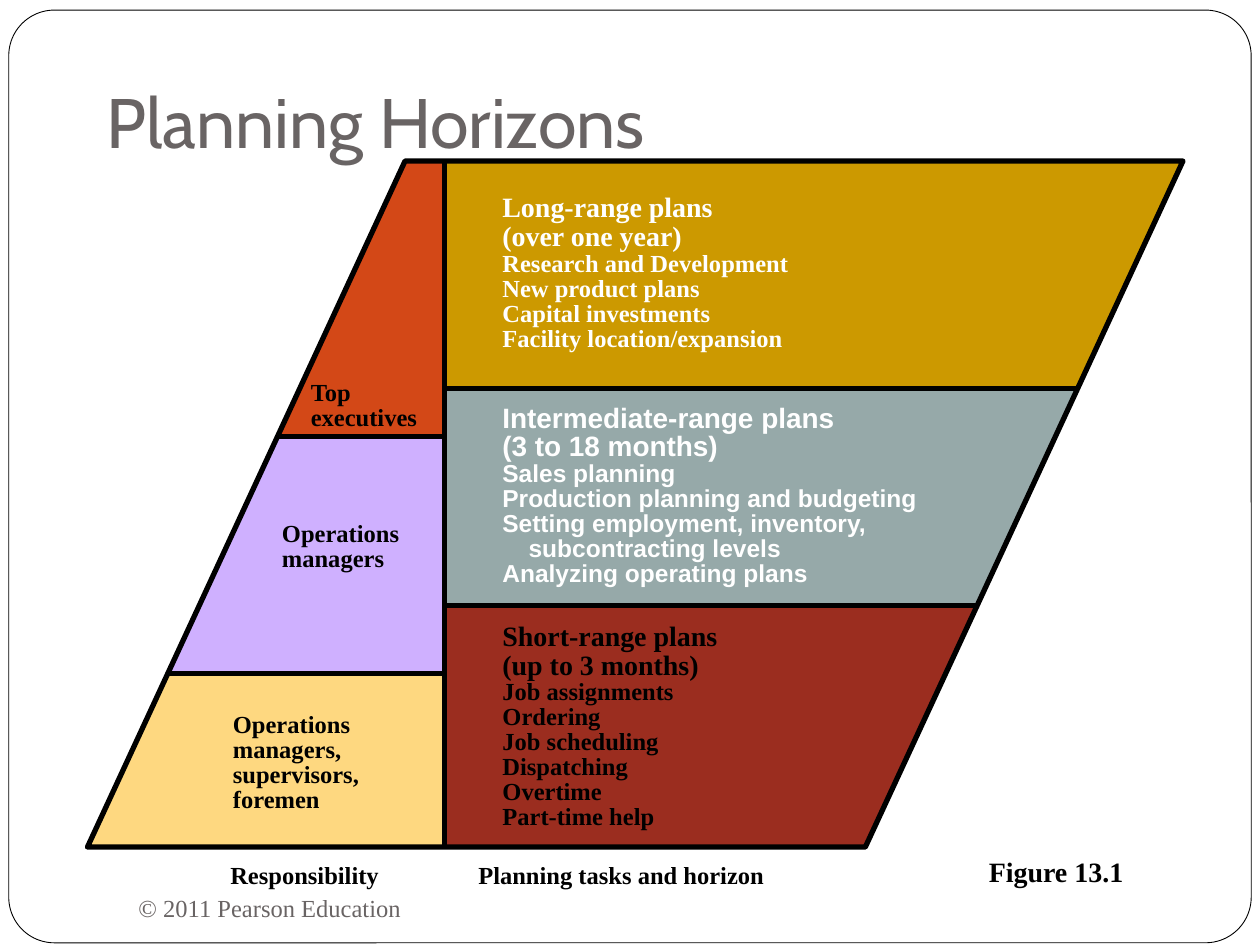
from lxml.etree import SubElement
from pptx import Presentation
from pptx.dml.color import RGBColor
from pptx.enum.shapes import MSO_CONNECTOR, MSO_SHAPE
from pptx.enum.text import MSO_ANCHOR, MSO_AUTO_SIZE
from pptx.oxml.ns import qn
from pptx.util import Pt

BLACK = RGBColor(0x00, 0x00, 0x00)
WHITE = RGBColor(0xFF, 0xFF, 0xFF)
GREY = RGBColor(0x69, 0x64, 0x64)
GOLD = RGBColor(0xCC, 0x99, 0x00)
SAGE = RGBColor(0x96, 0xA9, 0xA9)
BRICK = RGBColor(0x9B, 0x2D, 0x1F)
ORANGE = RGBColor(0xD3, 0x48, 0x17)
LILAC = RGBColor(0xCF, 0xB0, 0xFF)
SAND = RGBColor(0xFE, 0xD8, 0x80)

SERIF = "Times New Roman"
SLANT = 0.463
HANGING = 15

HORIZONS = [
    (130, GOLD, WHITE, SERIF, (280, 108, 198, 97), 0,
     ["Long-range plans\v(over one year)"],
     ["Research and Development", "New product plans", "Capital investments",
      "Facility location/expansion"]),
    (254, SAGE, WHITE, "Arial", (280, 228, 252, 112), HANGING,
     ["Intermediate-range plans", "(3 to 18 months)"],
     ["Sales planning", "Production planning and budgeting",
      "Setting employment, inventory, subcontracting levels",
      "Analyzing operating plans"]),
    (392, BRICK, BLACK, SERIF, (280, 353, 162, 125), 0,
     ["Short-range plans\v(up to 3 months)"],
     ["Job assignments", "Ordering", "Job scheduling", "Dispatching",
      "Overtime", "Part-time help"]),
]
ROLES = [
    (157.5, ORANGE, (170.5, 214.5, 93, 36), "Top executives"),
    (293, LILAC, (154, 295, 93, 36), "Operations managers"),
    (392, SAND, (126, 404, 101, 64), "Operations managers, supervisors, foremen"),
]


def add_text(slide, box, lines, sizes, color, font=SERIF, bold=True, wrap=True,
             anchor=MSO_ANCHOR.TOP, spacing=None, hanging=0):
    """Place paragraphs of text in a box, one size for each line."""
    shape = slide.shapes.add_textbox(*map(Pt, box))
    text_frame = shape.text_frame
    text_frame.word_wrap = wrap
    text_frame.auto_size = MSO_AUTO_SIZE.NONE
    text_frame.vertical_anchor = anchor
    text_frame.text = "\n".join(lines)
    for paragraph, size in zip(text_frame.paragraphs, sizes):
        if spacing:
            paragraph.line_spacing = spacing
        if hanging:
            properties = paragraph._p.get_or_add_pPr()
            properties.set("marL", str(Pt(hanging)))
            properties.set("indent", str(-Pt(hanging)))
        for run in paragraph.runs:
            run.font.name = font
            run.font.size = Pt(size)
            run.font.bold = bold
            run.font.color.rgb = color
    return text_frame


def add_region(slide, points, color):
    """Draw a filled polygon without an outline."""
    corners = [(Pt(x), Pt(y)) for x, y in points]
    builder = slide.shapes.build_freeform(*corners[0], scale=1.0)
    builder.add_line_segments(corners[1:], close=True)
    shape = builder.convert_to_shape()
    shape.shadow.inherit = False
    shape.fill.solid()
    shape.fill.fore_color.rgb = color
    shape.line.fill.background()


def add_rule(slide, start, end):
    """Draw a heavy black straight line."""
    connector = slide.shapes.add_connector(
        MSO_CONNECTOR.STRAIGHT, *map(Pt, start + end))
    connector.line.color.rgb = BLACK
    connector.line.width = Pt(3)
    SubElement(connector._element.spPr, qn("a:effectLst"))


def add_outline(slide, kind, box, adjustment, width):
    """Draw a black outlined shape without a fill."""
    shape = slide.shapes.add_shape(kind, *map(Pt, box))
    shape.adjustments[0] = adjustment
    shape.shadow.inherit = False
    shape.fill.background()
    shape.line.color.rgb = BLACK
    shape.line.width = Pt(width)
    return shape


def add_frame(slide, box):
    """Draw the rounded white panel around the slide."""
    frame = add_outline(slide, MSO_SHAPE.ROUNDED_RECTANGLE, box, 0.049, 0.5)
    frame.fill.solid()
    frame.fill.fore_color.rgb = WHITE


def add_diagram(slide, box, divider):
    """Draw the slanted planning diagram, split at the divider."""
    left, top, width, height = box
    bottom = top + height
    offset = SLANT * height

    def left_edge(y):
        """Return the x of the slanted left side at height y."""
        return left + offset * (bottom - y) / height

    def right_edge(y):
        """Return the x of the slanted right side at height y."""
        return left_edge(y) + width - offset

    rules = []
    for rows, edge in ((HORIZONS, right_edge), (ROLES, left_edge)):
        start = top
        for depth, color, *_ in rows:
            end = top + depth
            add_region(slide, [(divider, start), (edge(start), start),
                               (edge(end), end), (divider, end)], color)
            if end < bottom:
                rules.append(((divider, end), (edge(end), end)))
            start = end

    for _, _, color, font, text_box, hanging, headings, tasks in HORIZONS:
        sizes = [16] * len(headings) + [14] * len(tasks)
        add_text(slide, text_box, headings + tasks, sizes, color, font,
                 spacing=0.85, hanging=hanging)
    for _, _, text_box, role in ROLES:
        add_text(slide, text_box, [role], [14], BLACK, spacing=0.85)

    add_outline(slide, MSO_SHAPE.PARALLELOGRAM, box, SLANT, 3)
    add_rule(slide, (divider, top), (divider, bottom))
    for start, end in rules:
        add_rule(slide, start, end)


def add_captions(slide, top):
    """Place the two column captions and the figure number."""
    for left, width, shift, size, caption in (
            (124.5, 110, 0, 14, "Responsibility"),
            (266.25, 197, 0, 14, "Planning tasks and horizon"),
            (558, 99, -3.5, 16, "Figure 13.1")):
        add_text(slide, (left, top + shift, width, 24), [caption], [size],
                 BLACK, wrap=False)


def main():
    """Build the planning horizons slide."""
    presentation = Presentation()
    presentation.slide_width, presentation.slide_height = Pt(720), Pt(540)
    slide = presentation.slides.add_slide(presentation.slide_layouts[6])
    add_frame(slide, (5, 5.75, 710, 533))
    title = add_text(slide, (54, 30, 612, 70), ["Planning Horizons"], [40], GREY,
                     "Cabin", bold=False, anchor=MSO_ANCHOR.BOTTOM)
    title.margin_bottom = Pt(7.2)
    add_text(slide, (72, 500.5, 312, 36), ["© 2011 Pearson Education"], [14],
             GREY, bold=False, anchor=MSO_ANCHOR.MIDDLE)
    add_diagram(slide, (50, 92, 626, 392), 254)
    add_captions(slide, 488)
    presentation.save("out.pptx")


if __name__ == "__main__":
    main()
